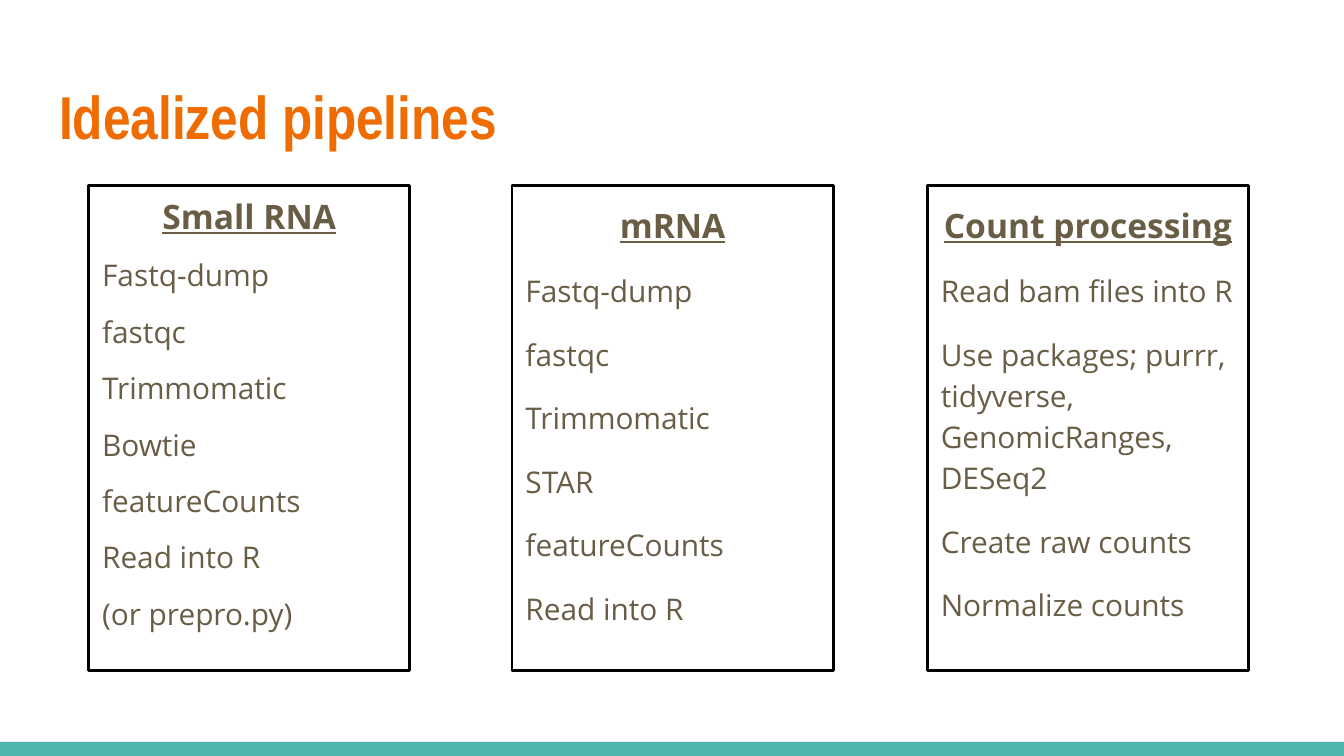
from pptx import Presentation
from pptx.dml.color import RGBColor
from pptx.enum.shapes import MSO_SHAPE
from pptx.enum.text import MSO_ANCHOR, MSO_AUTO_SIZE, PP_ALIGN
from pptx.util import Inches, Pt

RECT = MSO_SHAPE.RECTANGLE
TOP = MSO_ANCHOR.TOP
LEFT, CENTER = PP_ALIGN.LEFT, PP_ALIGN.CENTER
NO_FIT = MSO_AUTO_SIZE.NONE

# Content
TITLE = "Idealized pipelines"
PIPELINES = [
    {"left": 0.66, "spacing": 0.95, "heading": "Small RNA",
     "steps": ["Fastq-dump", "fastqc", "Trimmomatic", "Bowtie",
               "featureCounts", "Read into R", "(or prepro.py)"]},
    {"left": 3.81, "spacing": 1.15, "heading": "mRNA",
     "steps": ["Fastq-dump", "fastqc", "Trimmomatic", "STAR",
               "featureCounts", "Read into R"]},
    {"left": 6.9, "spacing": 1.15, "heading": "Count processing",
     "steps": ["Read bam files into R",
               "Use packages; purrr, tidyverse, GenomicRanges, DESeq2",
               "Create raw counts", "Normalize counts"]},
]
ORANGE, BROWN, TEAL, BLACK = "EF6C00", "695D46", "4DB6AC", "000000"
BOX_TOP, BOX_W, BOX_H = 1.38, 2.39, 3.61


def color(hex_value):
    return RGBColor.from_string(hex_value)


def place(sp, left, top, width, height):
    sp.left, sp.top = Inches(left), Inches(top)
    sp.width, sp.height = Inches(width), Inches(height)


def set_frame(tf):
    tf.word_wrap = True
    tf.auto_size = NO_FIT
    tf.vertical_anchor = TOP
    tf.margin_left = tf.margin_right = Inches(0.1)
    tf.margin_top = tf.margin_bottom = Inches(0.1)


def add_run(p, text, font, size, hex_value, bold=False, underline=False):
    r = p.add_run()
    r.text = text
    r.font.name, r.font.size = font, Pt(size)
    r.font.bold, r.font.underline = bold, underline
    r.font.color.rgb = color(hex_value)


def remove_bullet(p):
    pPr = p._p.get_or_add_pPr()
    pPr.set("marL", "0")
    pPr.set("indent", "0")
    pPr.append(pPr.makeelement(
        "{http://schemas.openxmlformats.org/drawingml/2006/main}buNone", {}))


def fill_pipeline(sp, pipeline):
    place(sp, pipeline["left"], BOX_TOP, BOX_W, BOX_H)
    sp.line.color.rgb = color(BLACK)
    sp.line.width = Pt(1.5)
    tf = sp.text_frame
    set_frame(tf)
    lines = [pipeline["heading"]] + pipeline["steps"]
    for i, text in enumerate(lines):
        heading = i == 0
        p = tf.paragraphs[0] if heading else tf.add_paragraph()
        p.alignment = CENTER if heading else LEFT
        p.line_spacing = pipeline["spacing"]
        p.space_before = Pt(0 if heading else 12)
        p.space_after = Pt(12 if i == len(lines) - 1 else 0)
        remove_bullet(p)
        add_run(p, text, "Open Sans", 18 if heading else 16, BROWN,
                bold=heading, underline=heading)


# Widescreen 16:9 slide
prs = Presentation()
prs.slide_width = Inches(10)
prs.slide_height = prs.slide_width * 9 // 16
s = prs.slides.add_slide(prs.slide_layouts.get_by_name("Comparison"))

# Footer band
band = s.shapes.add_shape(RECT, 0, 0, 0, 0)
place(band, 0, 5.52, 10, 0.11)
band.shadow.inherit = False
band.fill.solid()
band.fill.fore_color.rgb = color(TEAL)
band.line.fill.background()

# Title
title = s.shapes.title
place(title, 0.34, 0.49, 9.32, 0.77)
set_frame(title.text_frame)
p = title.text_frame.paragraphs[0]
p.alignment = LEFT
add_run(p, TITLE, "Arial Narrow", 32.4, ORANGE, bold=True)

# Pipeline boxes; the layout has one body more than needed
bodies = [sp for sp in s.placeholders if sp.placeholder_format.idx in range(1, 5)]
for sp, pipeline in zip(bodies, PIPELINES):
    fill_pipeline(sp, pipeline)
for sp in bodies[len(PIPELINES):]:
    sp.element.getparent().remove(sp.element)

prs.save("out.pptx")
